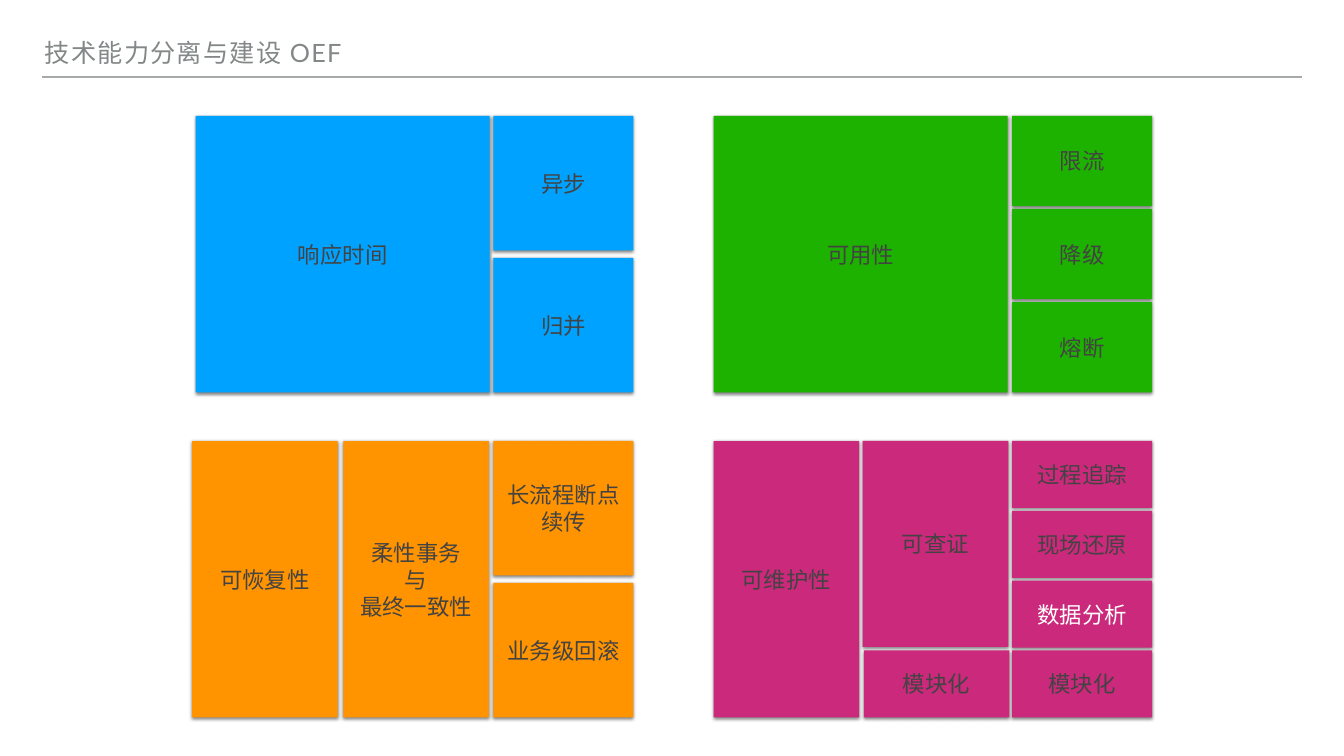
from dataclasses import dataclass

from lxml.etree import SubElement
from pptx import Presentation
from pptx.dml.color import RGBColor as Rgb
from pptx.enum.shapes import MSO_CONNECTOR as Link, MSO_SHAPE as Form
from pptx.enum.text import MSO_ANCHOR as Anchor, MSO_AUTO_SIZE as Fit, PP_ALIGN as Align
from pptx.oxml.ns import qn
from pptx.util import Pt


@dataclass(frozen=True)
class Theme:
    blue: str = "00A2FF"
    green: str = "1DB100"
    orange: str = "FF9300"
    pink: str = "CB297B"
    ink: str = "434343"
    white: str = "FFFFFF"
    title: str = "838787"
    rule: str = "A6AAA9"
    shade: str = "000000"
    head: float = 36
    text: float = 32
    head_font: str = "Lato"
    font: str = "Arial"


@dataclass(frozen=True)
class Column:
    """A stack of equal blocks; drop is the offset from the panel top."""
    left: float
    width: float
    labels: tuple[str, ...]
    gap: float = 4
    drop: float = 0
    depth: float = 395


@dataclass(frozen=True)
class Panel:
    top: float
    fill: str
    columns: tuple[Column, ...]


THEME = Theme()
WIDE, HALF, SIDE = 420, 208, 200
LEFT, RIGHT = 705, 1446  # left edges of the two side columns
UPPER, LOWER = 165.5, 630
BRIGHT = {"数据分析"}

PANELS = (
    Panel(LOWER, THEME.orange, (
        Column(274.5, HALF, ("可恢复性",)),
        Column(490.5, HALF, ("柔性事务\n与\n最终一致性",)),
        Column(LEFT, SIDE, ("长流程断点续传", "业务级回滚"), gap=10.6),
    )),
    Panel(UPPER, THEME.green, (
        Column(1019.5, WIDE, ("可用性",)),
        Column(RIGHT, SIDE, ("限流", "降级", "熔断")),
    )),
    Panel(UPPER, THEME.blue, (
        Column(279.5, WIDE, ("响应时间",)),
        Column(LEFT, SIDE, ("异步", "归并"), gap=10.6),
    )),
    Panel(LOWER, THEME.pink, (
        Column(RIGHT, SIDE, ("过程追踪", "现场还原", "数据分析", "模块化")),
        Column(1019.5, HALF, ("可维护性",)),
        Column(1232.5, HALF, ("可查证",), depth=294),
        Column(1234, HALF, ("模块化",), drop=299, depth=96),
    )),
)


def style(para, font: str, size: float, color: str, align) -> None:
    para.alignment = align
    para.font.name = font
    para.font.size = Pt(size)
    para.font.color.rgb = Rgb.from_string(color)


def inset(frame, anchor) -> None:
    frame.word_wrap = True
    frame.vertical_anchor = anchor
    frame.margin_left = frame.margin_right = Pt(4)
    frame.margin_top = frame.margin_bottom = Pt(4)


def shadow(shape) -> None:
    shape.shadow.inherit = False  # adds the empty effect list
    effects = shape._element.spPr.find(qn("a:effectLst"))
    outer = SubElement(effects, qn("a:outerShdw"), blurRad=str(Pt(5)),
                       dist=str(Pt(2)), dir="5400000", rotWithShape="0")
    color = SubElement(outer, qn("a:srgbClr"), val=THEME.shade)
    SubElement(color, qn("a:alpha"), val="50000")


def block(slide, left: float, top: float, width: float, height: float,
          label: str, fill: str) -> None:
    shape = slide.shapes.add_shape(Form.RECTANGLE, Pt(left), Pt(top), Pt(width), Pt(height))
    shape.fill.solid()
    shape.fill.fore_color.rgb = Rgb.from_string(fill)
    shape.line.fill.background()
    shadow(shape)
    frame = shape.text_frame
    inset(frame, Anchor.MIDDLE)
    frame.text = label
    color = THEME.white if label in BRIGHT else THEME.ink
    for para in frame.paragraphs:
        style(para, THEME.font, THEME.text, color, Align.CENTER)


def stack(slide, panel: Panel, col: Column) -> None:
    count = len(col.labels)
    height = (col.depth - col.gap * (count - 1)) / count
    for row, label in enumerate(col.labels):
        top = panel.top + col.drop + row * (height + col.gap)
        block(slide, col.left, top, col.width, height, label, panel.fill)


def header(slide) -> None:
    # Rule below the title
    rule = slide.shapes.add_connector(Link.STRAIGHT, Pt(60), Pt(110), Pt(1860), Pt(110))
    rule.line.color.rgb = Rgb.from_string(THEME.rule)
    rule.line.width = Pt(2)
    SubElement(rule._element.spPr, qn("a:effectLst"))

    # Title with wide letter spacing
    title = slide.shapes.title
    title.left, title.top, title.width, title.height = Pt(60), Pt(42), Pt(1650), Pt(58)
    frame = title.text_frame
    frame.text = "技术能力分离与建设 OEF"
    frame.auto_size = Fit.NONE
    inset(frame, Anchor.BOTTOM)
    para = frame.paragraphs[0]
    para.line_spacing = 0.8
    style(para, THEME.head_font, THEME.head, THEME.title, Align.LEFT)
    para.runs[0]._r.get_or_add_rPr().set("spc", "180")


def main() -> None:
    deck = Presentation()
    deck.slide_width, deck.slide_height = Pt(1920), Pt(1080)
    slide = deck.slides.add_slide(deck.slide_layouts[5])  # Title Only
    header(slide)
    for panel in PANELS:
        for col in panel.columns:
            stack(slide, panel, col)
    deck.save("out.pptx")


if __name__ == "__main__":
    main()
